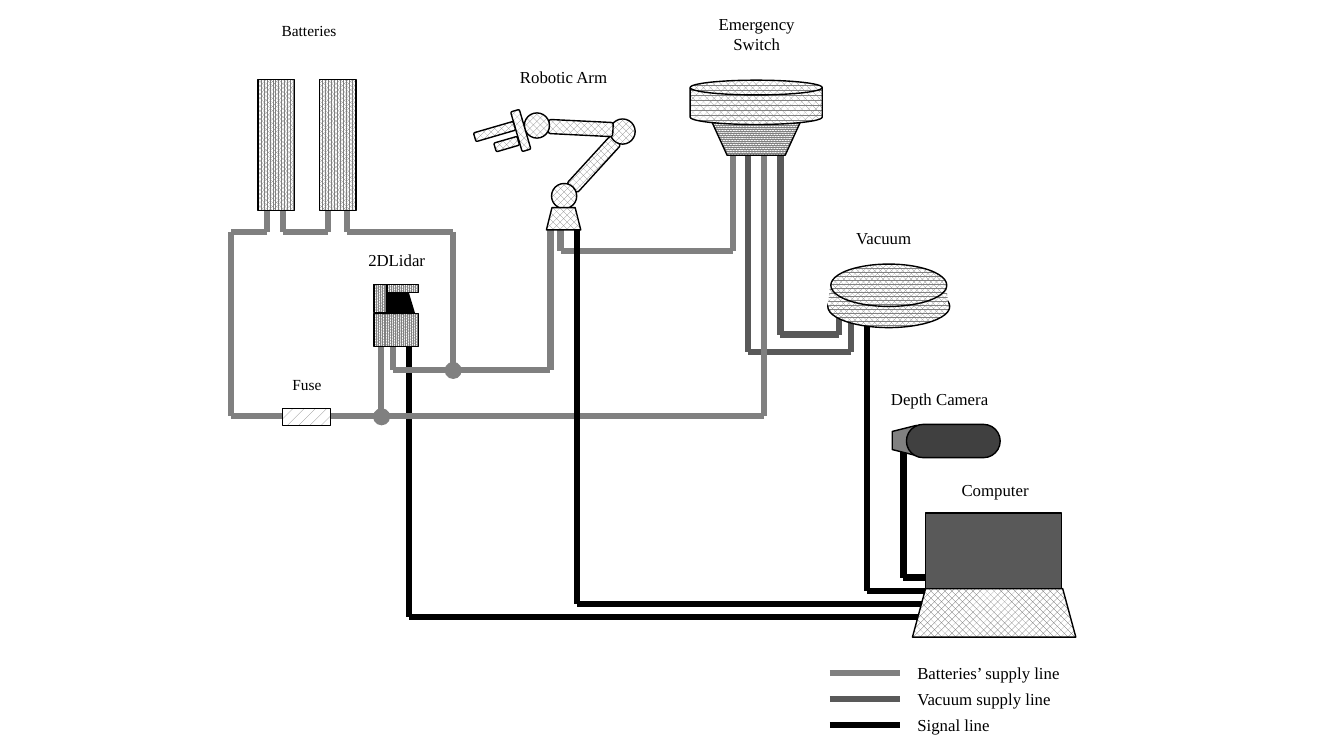
from itertools import pairwise
from lxml import etree
from pptx import Presentation
from pptx.dml.color import RGBColor
from pptx.enum import dml, shapes, text
from pptx.oxml.ns import qn
from pptx.util import Inches, Pt

FONT = "Times New Roman"
BLACK, DARK, SLATE, GREY, WHITE = "000000", "404040", "595959", "808080", "FFFFFF"
KIND, PAT = shapes.MSO_SHAPE, dml.MSO_PATTERN
RECT, OVAL, TRAP, ROUND = KIND.RECTANGLE, KIND.OVAL, KIND.TRAPEZOID, KIND.ROUNDED_RECTANGLE

# Wires, from back to front: colour, corner points
WIRES = [
    (BLACK, [(8.96, 4.37), (8.96, 5.73), (9.18, 5.73)]),             # camera
    (BLACK, [(8.6, 3.09), (8.6, 5.86), (9.18, 5.86)]),               # vacuum
    (BLACK, [(4.06, 3.42), (4.06, 6.12), (9.18, 6.12)]),             # lidar
    (GREY, [(2.65, 2.08), (2.65, 2.3), (2.29, 2.3), (2.29, 4.13), (2.8, 4.13)]),
    (GREY, [(2.81, 2.08), (2.81, 2.3), (3.25, 2.3), (3.25, 2.08)]),
    (GREY, [(3.44, 2.08), (3.44, 2.3), (4.49, 2.3), (4.49, 3.67)]),
    (GREY, [(3.9, 3.44), (3.9, 3.67), (5.46, 3.67), (5.46, 2.27)]),
    (GREY, [(3.78, 3.44), (3.78, 4.13)]),
    (GREY, [(5.56, 2.27), (5.56, 2.49), (7.27, 2.49), (7.27, 1.55)]),
    (SLATE, [(7.42, 1.55), (7.42, 3.49), (8.44, 3.49), (8.44, 3.11)]),
    (SLATE, [(7.74, 1.55), (7.74, 3.32), (8.32, 3.32), (8.32, 3.11)]),
    (GREY, [(3.28, 4.13), (7.58, 4.13), (7.58, 1.55)]),
    (BLACK, [(5.72, 2.27), (5.72, 5.99), (9.18, 5.99)]),             # arm
]
NODES = [(4.49, 3.67), (3.78, 4.13)]

# Device parts: kind, box, fill (a colour or a pattern), then any options
PARTS = {
    "fuse": [(RECT, (2.8, 4.05, 0.48, 0.17), PAT.PERCENT_10)],
    "vacuum": [
        (OVAL, (8.21, 2.83, 1.21, 0.42), PAT.PERCENT_75),
        (TRAP, (8.21, 2.83, 1.2, 0.21), PAT.PERCENT_75, {"adj": 0.12, "edge": None}),
        (OVAL, (8.24, 2.62, 1.15, 0.42), PAT.PERCENT_75),
    ],
    "camera": [
        (TRAP, (8.82, 4.25, 0.3, 0.24), GREY, {"turn": 270}),
        (ROUND, (8.99, 4.21, 0.93, 0.33), DARK, {"turn": 180, "adj": 0.5}),
    ],
    "arm": [
        (ROUND, (5.82, 1.31, 0.14, 0.64), PAT.PERCENT_50, {"turn": 42.4}),
        (OVAL, (6.05, 1.18, 0.25, 0.25), PAT.PERCENT_50),
        (ROUND, (5.69, 0.95, 0.14, 0.64), PAT.PERCENT_50, {"turn": 272.8}),
        (OVAL, (5.2, 1.12, 0.25, 0.25), PAT.PERCENT_50),
        (OVAL, (5.47, 1.82, 0.25, 0.25), PAT.PERCENT_50),
        (TRAP, (5.42, 2.06, 0.34, 0.22), PAT.PERCENT_50),
        (ROUND, (5.12, 1.09, 0.09, 0.41), PAT.PERCENT_50, {"turn": 343.8}),
        (ROUND, (4.86, 1.1, 0.09, 0.41), PAT.PERCENT_50, {"turn": 73.8}),
        (ROUND, (4.98, 1.31, 0.09, 0.24), PAT.PERCENT_50, {"turn": 73.8}),
    ],
    "batteries": [(RECT, (x, 0.79, 0.36, 1.3), PAT.PERCENT_80) for x in (2.56, 3.17)],
    "switch": [
        (KIND.FLOWCHART_MANUAL_OPERATION, (7.02, 1.12, 0.96, 0.42), PAT.PERCENT_90),
        (KIND.FLOWCHART_DIRECT_ACCESS_STORAGE, (7.28, 0.36, 0.44, 1.31),
         PAT.PERCENT_70, {"turn": 270}),
    ],
    "lidar": [
        (RECT, (3.71, 3.11, 0.44, 0.33), PAT.PERCENT_90),
        (TRAP, (3.72, 2.91, 0.39, 0.2), BLACK, {"adj": 0.3}),
        (RECT, (3.71, 2.82, 0.44, 0.08), PAT.PERCENT_90),
        (RECT, (3.71, 2.82, 0.13, 0.28), PAT.PERCENT_90),
    ],
    "computer": [
        (TRAP, (9.05, 5.84, 1.62, 0.48), PAT.PERCENT_50, {"adj": 0.27, "ink": SLATE}),
        (RECT, (9.18, 5.09, 1.35, 0.75), SLATE),
    ],
}

# Labels: lines, box, size
LABELS = [
    (["Batteries"], (2.69, 0.16, 0.75, 0.29), 11),
    (["Fuse"], (2.8, 3.67, 0.49, 0.29), 11),
    (["Robotic Arm"], (5.05, 0.61, 1.08, 0.3), 12),
    (["Emergency", "Switch"], (7.02, 0.09, 0.97, 0.5), 12),
    (["2DLidar"], (3.55, 2.43, 0.77, 0.3), 12),
    (["Vacuum"], (8.38, 2.21, 0.77, 0.3), 12),
    (["Depth Camera"], (8.73, 3.81, 1.18, 0.3), 12),
    (["Computer"], (9.43, 4.71, 0.88, 0.3), 12),
]
LEGEND = [(GREY, "Batteries\u2019 supply line", 1.63), (SLATE, "Vacuum supply line", 1.56),
          (BLACK, "Signal line", 0.93)]


def rgb(code):
    """Turn a hex string into a colour."""
    return RGBColor.from_string(code)


def wire(slide, color, points):
    """Draw a thick line through the points."""
    for start, end in pairwise(points):
        line = slide.shapes.add_connector(
            shapes.MSO_CONNECTOR.STRAIGHT, *map(Inches, start + end))
        line.line.color.rgb = rgb(color)
        line.line.width = Pt(4.5)
        etree.SubElement(line._element.spPr, qn("a:effectLst"))


def part(slide, kind, box, paint, opts=None):
    """Add one shape with a plain or patterned fill."""
    opts = opts or {}
    shape = slide.shapes.add_shape(kind, *map(Inches, box))
    shape.shadow.inherit = False
    shape.rotation = opts.get("turn", 0)
    if "adj" in opts:
        shape.adjustments[0] = opts["adj"]
    if isinstance(paint, str):
        shape.fill.solid()
        shape.fill.fore_color.rgb = rgb(paint)
    else:
        shape.fill.patterned()
        shape.fill.pattern = paint
        shape.fill.fore_color.rgb = rgb(opts.get("ink", GREY))
        shape.fill.back_color.rgb = rgb(WHITE)
    edge = opts.get("edge", BLACK)
    if edge:
        shape.line.color.rgb = rgb(edge)
        shape.line.width = Pt(1)
    else:
        shape.line.fill.background()


def label(slide, lines, box, size, align=text.PP_ALIGN.CENTER):
    """Add a text box with one paragraph per line."""
    frame = slide.shapes.add_textbox(*map(Inches, box)).text_frame
    frame.word_wrap = False
    frame.auto_size = text.MSO_AUTO_SIZE.SHAPE_TO_FIT_TEXT
    for i, line in enumerate(lines):
        para = frame.add_paragraph() if i else frame.paragraphs[0]
        para.alignment = align
        run = para.add_run()
        run.text = line
        run.font.name, run.font.size = FONT, Pt(size)
        run.font.color.rgb = rgb(BLACK)


def main():
    """Build the wiring diagram and save it."""
    deck = Presentation()
    deck.slide_width, deck.slide_height = Inches(13.33), Inches(7.5)
    slide = deck.slides.add_slide(deck.slide_layouts[6])
    for color, points in WIRES:
        wire(slide, color, points)
    for group in PARTS.values():
        for item in group:
            part(slide, *item)
    for x, y in NODES:
        part(slide, OVAL, (x - 0.08, y - 0.08, 0.17, 0.17), GREY, {"edge": None})
    for item in LABELS:
        label(slide, *item)
    for i, (color, name, width) in enumerate(LEGEND):
        y = 6.68 + 0.255 * i
        wire(slide, color, [(8.23, y), (8.93, y)])
        label(slide, [name], (9, y - 0.15, width, 0.3), 12, text.PP_ALIGN.LEFT)
    deck.save("out.pptx")


main()
